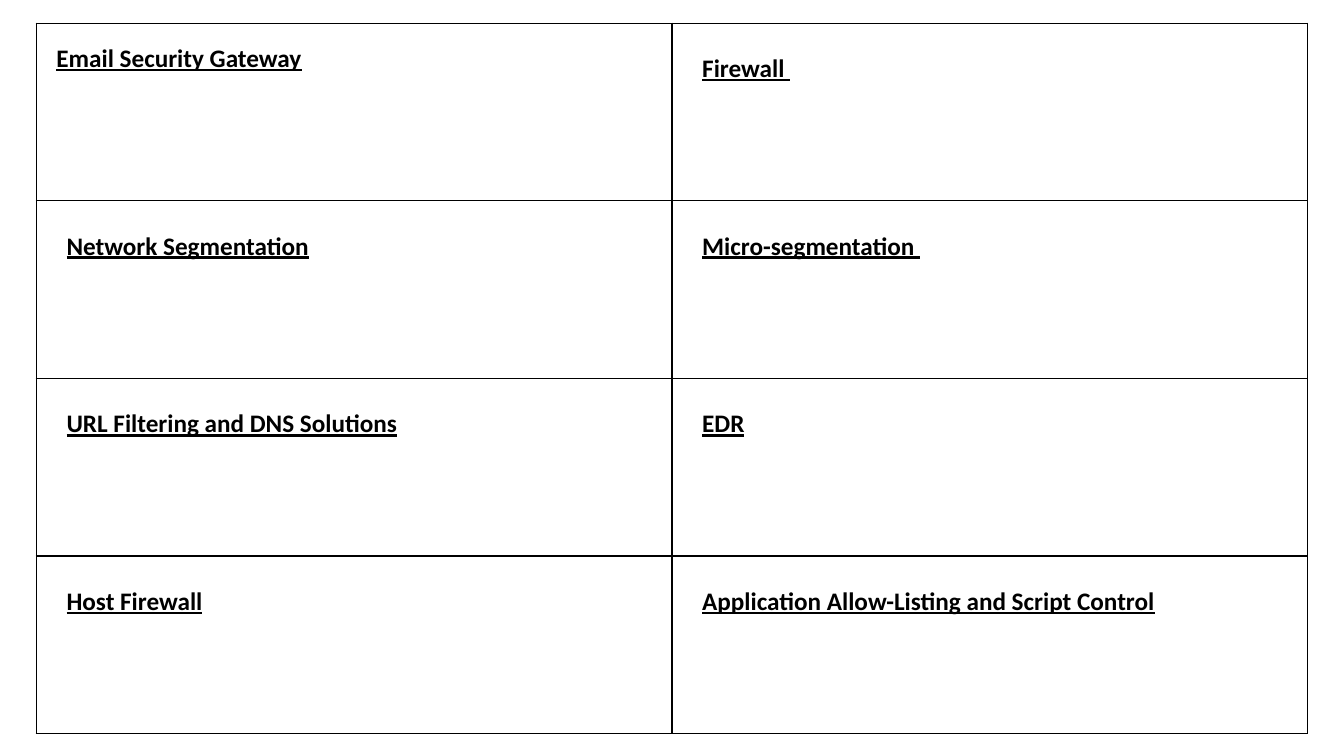
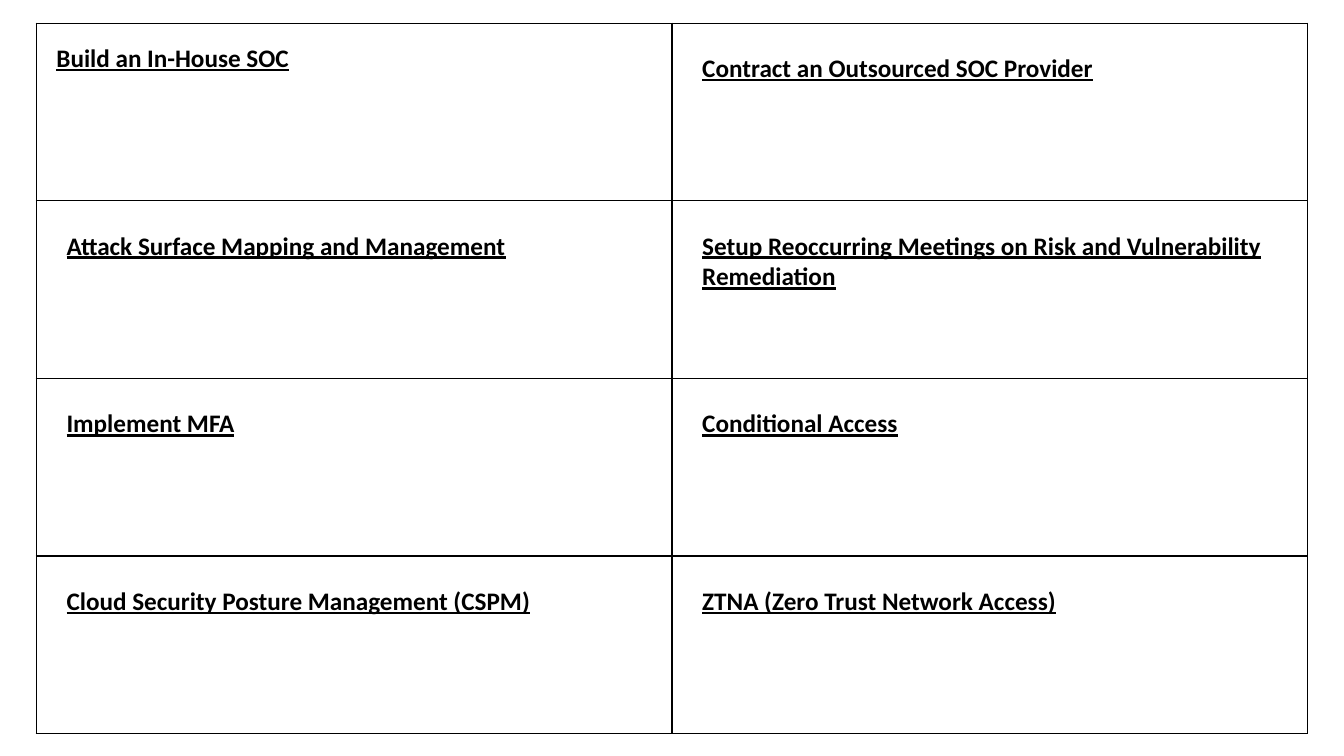
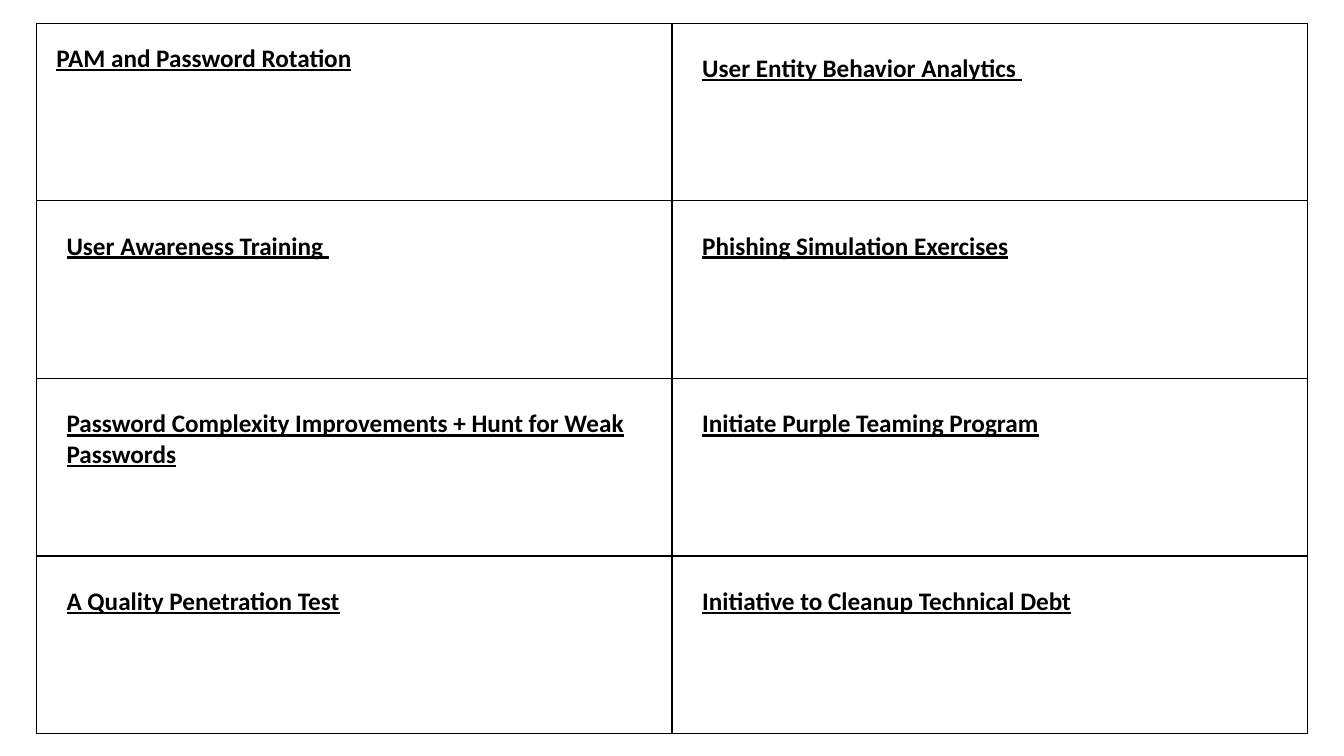
import dataclasses

import pptx
import pptx.dml.color
import pptx.oxml
import pptx.oxml.ns
import pptx.slide
import pptx.table
import pptx.util

EMU_PER_PX = 9144  # 100 px to the inch
SLIDE_W, SLIDE_H = 1333, 750
LEFT, TOP, WIDTH, HEIGHT = 36, 23, 1261, 705
FIRST_INSET, INSET = 20, 30
BLACK, WHITE = "000000", "FFFFFF"
FONT, FONT_SIZE = "Calibri", 18
BORDER_PT = 1


@dataclasses.dataclass(frozen=True)
class CardSheet:
    rows: tuple[tuple[str, str], ...]


SHEETS = (
    CardSheet((
        ("Email Security Gateway", "Firewall "),
        ("Network Segmentation", "Micro-segmentation "),
        ("URL Filtering and DNS Solutions", "EDR"),
        ("Host Firewall", "Application Allow-Listing and Script Control"),
    )),
    CardSheet((
        ("Build an In-House SOC", "Contract an Outsourced SOC Provider"),
        ("Attack Surface Mapping and Management",
         "Setup Reoccurring Meetings on Risk and Vulnerability Remediation"),
        ("Implement MFA", "Conditional Access"),
        ("Cloud Security Posture Management (CSPM)", "ZTNA (Zero Trust Network Access)"),
    )),
    CardSheet((
        ("PAM and Password Rotation", "User Entity Behavior Analytics "),
        ("User Awareness Training ", "Phishing Simulation Exercises"),
        ("Password Complexity Improvements + Hunt for Weak Passwords",
         "Initiate Purple Teaming Program"),
        ("A Quality Penetration Test", "Initiative to Cleanup Technical Debt"),
    )),
)


def px(n: int) -> pptx.util.Emu:
    return pptx.util.Emu(n * EMU_PER_PX)


def rgb(color: str) -> pptx.dml.color.RGBColor:
    return pptx.dml.color.RGBColor.from_string(color)


def set_borders(cell: pptx.table._Cell) -> None:
    tc_pr = cell._tc.get_or_add_tcPr()
    for side in ("lnL", "lnR", "lnT", "lnB"):
        tc_pr.append(pptx.oxml.parse_xml(
            f'<a:{side} {pptx.oxml.ns.nsdecls("a")} w="{pptx.util.Pt(BORDER_PT)}">'
            f'<a:solidFill><a:srgbClr val="{BLACK}"/></a:solidFill></a:{side}>'))


def fill_card(cell: pptx.table._Cell, title: str, inset: int) -> None:
    """Format one table cell as a bordered card with an underlined title."""
    cell.margin_left = cell.margin_right = px(inset)
    cell.margin_top = cell.margin_bottom = px(inset)
    set_borders(cell)
    cell.fill.background()
    p = cell.text_frame.paragraphs[0]
    p.text = title
    font = p.runs[0].font
    font.name, font.size = FONT, pptx.util.Pt(FONT_SIZE)
    font.bold = font.underline = True
    font.color.rgb = rgb(BLACK)


def add_cards(slide: pptx.slide.Slide, sheet: CardSheet) -> None:
    table = slide.shapes.add_table(
        len(sheet.rows), len(sheet.rows[0]),
        px(LEFT), px(TOP), px(WIDTH), px(HEIGHT)).table
    table.first_row = table.horz_banding = False
    for i, titles in enumerate(sheet.rows):
        for j, title in enumerate(titles):
            inset = FIRST_INSET if i == j == 0 else INSET
            fill_card(table.cell(i, j), title, inset)


def main() -> None:
    prs = pptx.Presentation()
    prs.slide_width, prs.slide_height = px(SLIDE_W), px(SLIDE_H)
    for sheet in SHEETS:
        slide = prs.slides.add_slide(prs.slide_layouts[6])
        slide.background.fill.solid()
        slide.background.fill.fore_color.rgb = rgb(WHITE)
        add_cards(slide, sheet)
    prs.save("out.pptx")


if __name__ == "__main__":
    main()
